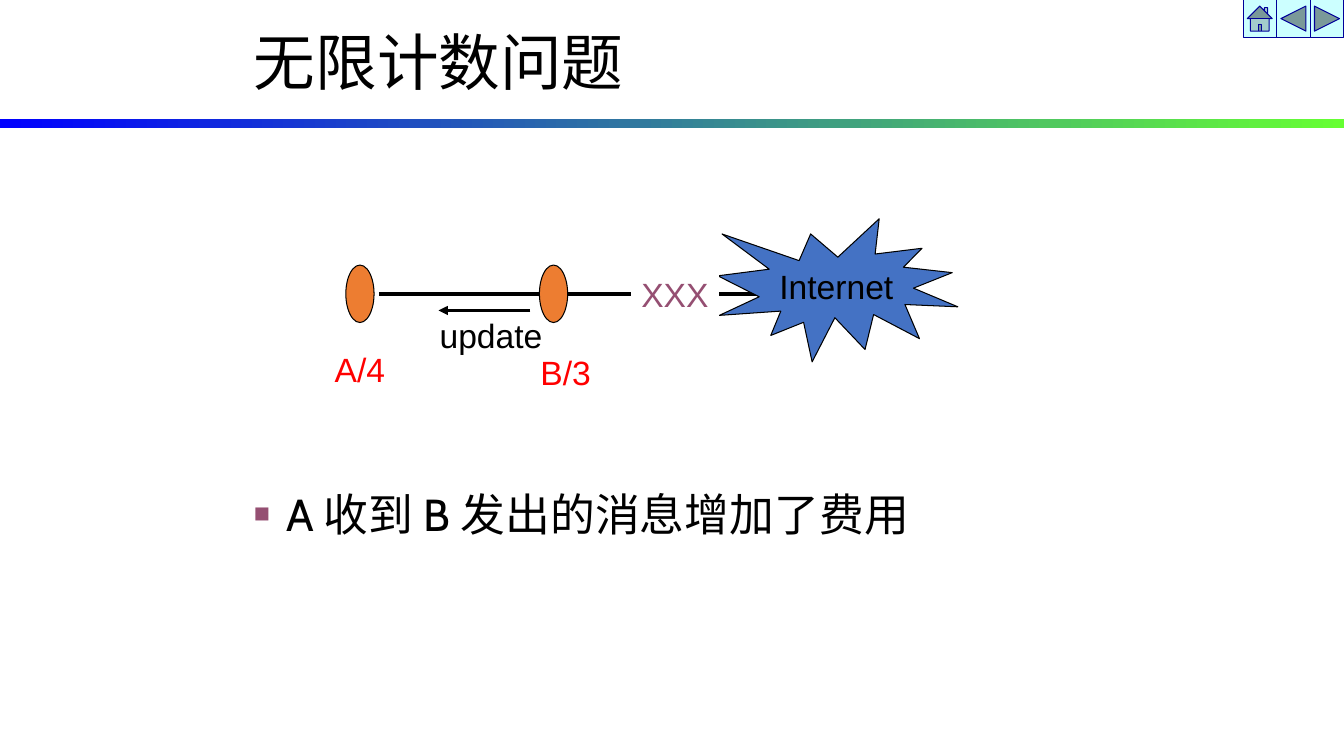
from dataclasses import dataclass
from typing import Optional

import pptx
import pptx.dml.color
import pptx.enum.dml
import pptx.enum.shapes
import pptx.enum.text
import pptx.oxml.ns
import pptx.util
from lxml import etree
from pptx.util import Inches

COLORS = {
    "black": "000000", "white": "FFFFFF", "red": "FF0000", "plum": "954F72",
    "node": "ED7D31", "cloud": "4472C4", "button": "CCFFFF", "navy": "000099",
    "blue": "0000FF", "green": "66FF33",
}
SHAPES = pptx.enum.shapes.MSO_SHAPE
ANCHOR = pptx.enum.text.MSO_ANCHOR
ALIGN = pptx.enum.text.PP_ALIGN
AUTO_SIZE = pptx.enum.text.MSO_AUTO_SIZE


@dataclass
class Text:
    words: str
    size: float = 24
    font: str = "Arial"
    color: str = "black"
    align: ALIGN = ALIGN.CENTER
    anchor: ANCHOR = ANCHOR.TOP
    wrap: bool = False
    grow: bool = True


@dataclass
class Item:
    """A preset shape, or a plain text box when kind is None."""
    left: float
    top: float
    width: float
    height: float
    kind: Optional[SHAPES] = None
    fill: str = "white"
    line: Optional[str] = None
    text: Optional[Text] = None


@dataclass
class Arrow:
    start: float
    end: float
    level: float
    weight: float


def rgb(name: str) -> pptx.dml.color.RGBColor:
    return pptx.dml.color.RGBColor.from_string(COLORS[name])


def add_child(parent, tag: str, **attributes: str):
    return etree.SubElement(parent, pptx.oxml.ns.qn(tag), attributes)


def write_text(shape, text: Text) -> None:
    frame = shape.text_frame
    frame.text = text.words
    frame.word_wrap = text.wrap
    frame.vertical_anchor = text.anchor
    frame.auto_size = AUTO_SIZE.SHAPE_TO_FIT_TEXT if text.grow else AUTO_SIZE.NONE
    para = frame.paragraphs[0]
    para.alignment = text.align
    for span in para.runs:
        span.font.size = pptx.util.Pt(text.size)
        span.font.name = text.font
        span.font.color.rgb = rgb(text.color)


def draw_item(page, item: Item):
    place = [Inches(v) for v in (item.left, item.top, item.width, item.height)]
    if item.kind is None:
        shape = page.shapes.add_textbox(*place)
    else:
        shape = page.shapes.add_shape(item.kind, *place)
        shape.shadow.inherit = False
        shape.fill.solid()
        shape.fill.fore_color.rgb = rgb(item.fill)
        if item.line:
            shape.line.color.rgb = rgb(item.line)
            shape.line.width = pptx.util.Pt(0.75)
        else:
            shape.line.fill.background()
    if item.text:
        write_text(shape, item.text)
    return shape


def draw_arrow(page, arrow: Arrow) -> None:
    level = Inches(arrow.level)
    connector = page.shapes.add_connector(
        pptx.enum.shapes.MSO_CONNECTOR.STRAIGHT,
        Inches(arrow.start), level, Inches(arrow.end), level)
    connector.line.color.rgb = rgb("black")
    connector.line.width = pptx.util.Pt(arrow.weight)
    add_child(connector.line._get_or_add_ln(), "a:tailEnd", type="triangle")
    add_child(connector._element.spPr, "a:effectLst")


def draw_header(page) -> None:
    # Navigation buttons
    kinds = (SHAPES.ACTION_BUTTON_HOME, SHAPES.ACTION_BUTTON_BACK_OR_PREVIOUS,
             SHAPES.ACTION_BUTTON_FORWARD_OR_NEXT)
    for index, kind in enumerate(kinds):
        draw_item(page, Item(12.33 + index / 3, 0, 0.33, 0.37, kind, "button", "navy"))

    # Gradient rule and title
    rule = draw_item(page, Item(0, 1.18, 13.33, 0.09, SHAPES.RECTANGLE))
    rule.fill.gradient()
    rule.fill.gradient_angle = 0
    for stop, name, position in zip(rule.fill.gradient_stops, ("blue", "green"), (0, 1)):
        stop.color.rgb = rgb(name)
        stop.position = position
    title = draw_item(page, Item(2.42, 0.25, 8.5, 0.8, text=Text(
        "无限计数问题", 44, "Calibri", align=ALIGN.LEFT, anchor=ANCHOR.MIDDLE,
        wrap=True, grow=False)))
    title.text_frame.paragraphs[0].line_spacing = 0.9


def draw_network(page) -> None:
    # Update message and the link to the Internet
    draw_arrow(page, Arrow(5.26, 4.35, 3.08, 2.25))
    draw_item(page, Item(4.26, 3.08, 1.22, 0.5, text=Text("update")))
    draw_arrow(page, Arrow(3.76, 7.76, 2.92, 3))

    # Routers, cloud, labels and the broken part of the link
    for left in (3.43, 5.35):
        draw_item(page, Item(left, 2.63, 0.28, 0.57, SHAPES.OVAL, "node", "black"))
    draw_item(page, Item(7.12, 2.17, 2.38, 1.42, SHAPES.EXPLOSION1, "cloud", "black",
                         Text("Internet", anchor=ANCHOR.MIDDLE)))
    for words, left, top in (("A/4", 3.22, 3.41), ("B/3", 5.26, 3.44)):
        draw_item(page, Item(left, top, 0.7, 0.5, text=Text(words, color="red")))
    draw_item(page, Item(6.26, 2.67, 0.87, 0.5, SHAPES.RECTANGLE,
                         text=Text("XXX", color="plum")))


def draw_bullet(page) -> None:
    box = draw_item(page, Item(2.42, 4.78, 8.24, 0.63, text=Text(
        "A 收到 B 发出的消息增加了费用", 32, "Cabin", align=ALIGN.LEFT, wrap=True)))
    props = box.text_frame.paragraphs[0]._p.get_or_add_pPr()
    props.set("marL", str(Inches(0.32)))
    props.set("indent", str(Inches(-0.32)))
    add_child(add_child(props, "a:buClr"), "a:srgbClr", val=COLORS["plum"])
    add_child(props, "a:buSzPct", val="60000")
    add_child(props, "a:buFont", typeface="Arial")
    add_child(props, "a:buChar", char="■")


def main() -> None:
    deck = pptx.Presentation()
    deck.slide_width = Inches(13.33)
    deck.slide_height = Inches(7.5)
    page = deck.slides.add_slide(deck.slide_layouts[6])
    draw_header(page)
    draw_network(page)
    draw_bullet(page)
    deck.save("out.pptx")


if __name__ == "__main__":
    main()
